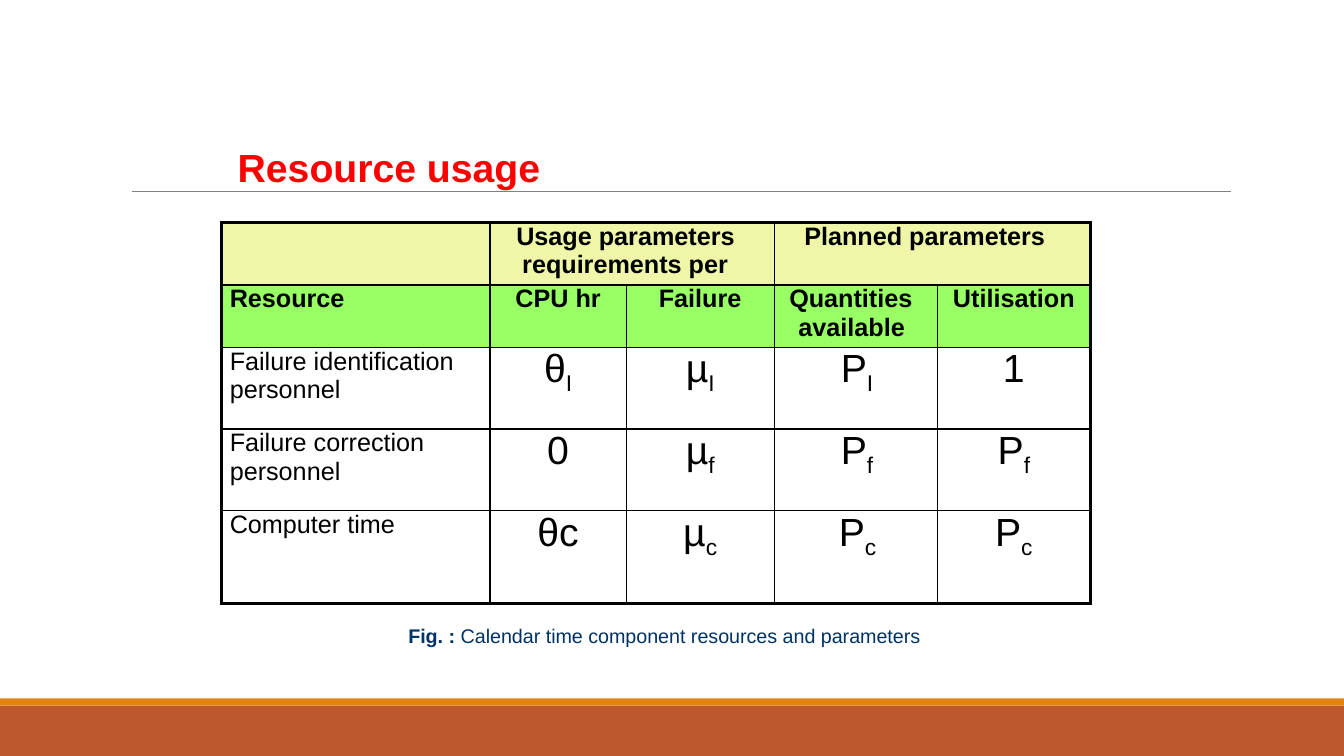
from typing import NamedTuple, Optional

from lxml import etree
from pptx import Presentation
from pptx.dml.color import RGBColor
from pptx.enum.shapes import MSO_CONNECTOR, MSO_SHAPE
from pptx.enum.text import MSO_ANCHOR, MSO_AUTO_SIZE, PP_ALIGN
from pptx.oxml.ns import qn
from pptx.util import Cm, Pt

RECTANGLE = MSO_SHAPE.RECTANGLE
STRAIGHT = MSO_CONNECTOR.STRAIGHT
LEFT, CENTER = PP_ALIGN.LEFT, PP_ALIGN.CENTER
TOP = MSO_ANCHOR.TOP
NO_AUTOFIT = MSO_AUTO_SIZE.NONE

FONT = "Arial"
TITLE_ONLY = 5
BLACK, YELLOW, GREEN = "000000", "EFF6A7", "98FF65"
TEXT_SIZE, SYMBOL_SIZE = 18, 28
INNER_LINE, OUTER_LINE = 1, 2.25
COLUMN_WIDTHS = (6.76, 3.43, 3.73, 4.11, 3.86)
ROW_HEIGHTS = (1.57, 1.57, 2.06, 2.06, 2.34)


class Bar(NamedTuple):
    top: float
    height: float
    color: str


class Entry(NamedTuple):
    """A cell's content; without an indent (in cm) it is centred."""
    text: str
    subscript: str = ""
    size: float = SYMBOL_SIZE
    bold: bool = False
    indent: Optional[float] = None
    hanging: float = 0
    columns: int = 1


def heading(text: str, indent: Optional[float] = None, hanging: float = 0,
            columns: int = 1) -> Entry:
    return Entry(text, "", TEXT_SIZE, True, indent, hanging, columns)


def resource(text: str) -> Entry:
    return Entry(text, size=TEXT_SIZE, indent=0.2)


BARS = (Bar(17.78, 1.27, "BD582C"), Bar(17.6, 0.18, "E48312"))
ROWS = (
    (heading(""),
     heading("Usage parameters requirements per", 0.81, 0.15, 2),
     heading("Planned parameters", 0.76, 0, 2)),
    (heading("Resource", 0.2), heading("CPU hr"), heading("Failure"),
     heading("Quantities available", 0.61, 0.23), heading("Utilisation")),
    (resource("Failure identification personnel"), Entry("θ", "I"),
     Entry("µ", "I"), Entry("P", "I", indent=1.68), Entry("1")),
    (resource("Failure correction personnel"), Entry("0"),
     Entry("µ", "f"), Entry("P", "f", indent=1.68), Entry("P", "f")),
    (resource("Computer time"), Entry("θc"),
     Entry("µ", "c"), Entry("P", "c", indent=1.63), Entry("P", "c")),
)
ROW_FILLS = (YELLOW, GREEN, None, None, None)


def rgb(color: str) -> RGBColor:
    return RGBColor.from_string(color)


def format_run(run, size: float, color: str, bold: bool) -> None:
    run.font.name = FONT
    run.font.size = Pt(size)
    run.font.bold = bold
    run.font.color.rgb = rgb(color)


def prepare_frame(text_frame) -> None:
    """Remove the margins and start the text at the top."""
    text_frame.margin_left = text_frame.margin_right = 0
    text_frame.margin_top = text_frame.margin_bottom = 0
    text_frame.vertical_anchor = TOP
    text_frame.word_wrap = True
    text_frame.auto_size = NO_AUTOFIT


def add_bar(slide, bar: Bar, width: int) -> None:
    shape = slide.shapes.add_shape(RECTANGLE, 0, Cm(bar.top), width, Cm(bar.height))
    shape.shadow.inherit = False
    shape.fill.solid()
    shape.fill.fore_color.rgb = rgb(bar.color)
    shape.line.fill.background()


def add_title_rule(slide) -> None:
    rule = slide.shapes.add_connector(STRAIGHT, Cm(3.33), Cm(4.83), Cm(31.01), Cm(4.83))
    rule.line.color.rgb = rgb("808080")
    rule.line.width = Pt(0.5)
    etree.SubElement(rule._element.spPr, qn("a:effectLst"))


def format_title(slide) -> None:
    title = slide.shapes.title
    title.left, title.top = Cm(5.99), Cm(3.61)
    title.width, title.height = Cm(9.4), Cm(1.19)
    title.text_frame.text = "Resource usage"
    prepare_frame(title.text_frame)
    paragraph = title.text_frame.paragraphs[0]
    paragraph.alignment = LEFT
    format_run(paragraph.runs[0], 28, "FF0000", True)


def add_caption(slide) -> None:
    caption = slide.shapes.add_textbox(Cm(10.29), Cm(15.72), Cm(13.06), Cm(0.61))
    prepare_frame(caption.text_frame)
    paragraph = caption.text_frame.paragraphs[0]
    for text, bold in (("Fig. : ", True),
                       ("Calendar time component resources and parameters", False)):
        run = paragraph.add_run()
        run.text = text
        format_run(run, 14.1, "003265", bold)


def set_borders(cell, widths: dict[str, float]) -> None:
    properties = cell._tc.get_or_add_tcPr()
    for side, width in widths.items():
        line = etree.SubElement(properties, qn(f"a:ln{side}"), w=str(Pt(width)))
        fill = etree.SubElement(line, qn("a:solidFill"))
        etree.SubElement(fill, qn("a:srgbClr"), val=BLACK)


def fill_cell(cell, color: Optional[str]) -> None:
    if color is None:
        cell.fill.background()
    else:
        cell.fill.solid()
        cell.fill.fore_color.rgb = rgb(color)


def write_entry(cell, entry: Entry) -> None:
    paragraph = cell.text_frame.paragraphs[0]
    paragraph.space_before = Pt(2.7 if entry.size == SYMBOL_SIZE else 2.3)
    if entry.indent is None:
        paragraph.alignment = CENTER
    else:
        paragraph.alignment = LEFT
        properties = paragraph._p.get_or_add_pPr()
        properties.set("marL", str(Cm(entry.indent)))
        properties.set("indent", str(-Cm(entry.hanging)))
    for text, baseline in ((entry.text, None), (entry.subscript, "-23000")):
        if text:
            run = paragraph.add_run()
            run.text = text
            format_run(run, entry.size, BLACK, entry.bold)
            if baseline:
                run._r.get_or_add_rPr().set("baseline", baseline)


def add_resource_table(slide) -> None:
    row_count, column_count = len(ROW_HEIGHTS), len(COLUMN_WIDTHS)
    table = slide.shapes.add_table(
        row_count, column_count, Cm(5.59), Cm(5.61),
        Cm(sum(COLUMN_WIDTHS)), Cm(sum(ROW_HEIGHTS))).table
    table.first_row = table.horz_banding = False
    for column, width in zip(table.columns, COLUMN_WIDTHS):
        column.width = Cm(width)
    for row, height in zip(table.rows, ROW_HEIGHTS):
        row.height = Cm(height)

    for row_index, (entries, color) in enumerate(zip(ROWS, ROW_FILLS)):
        first = 0
        for entry in entries:
            last = first + entry.columns - 1
            outer_sides = {"L": first == 0, "R": last == column_count - 1,
                           "T": row_index == 0, "B": row_index == row_count - 1}
            widths = {side: OUTER_LINE if outer else INNER_LINE
                      for side, outer in outer_sides.items()}
            for column_index in range(first, last + 1):
                cell = table.cell(row_index, column_index)
                cell.margin_left = cell.margin_right = 0
                cell.margin_top = cell.margin_bottom = 0
                set_borders(cell, widths)
                fill_cell(cell, color)
            origin = table.cell(row_index, first)
            if last > first:
                origin.merge(table.cell(row_index, last))
            write_entry(origin, entry)
            first = last + 1


def main() -> None:
    presentation = Presentation()
    presentation.slide_width, presentation.slide_height = Cm(33.87), Cm(19.05)
    slide = presentation.slides.add_slide(presentation.slide_layouts[TITLE_ONLY])
    for bar in BARS:
        add_bar(slide, bar, presentation.slide_width)
    add_title_rule(slide)
    add_caption(slide)
    format_title(slide)
    add_resource_table(slide)
    presentation.save("out.pptx")


if __name__ == "__main__":
    main()
